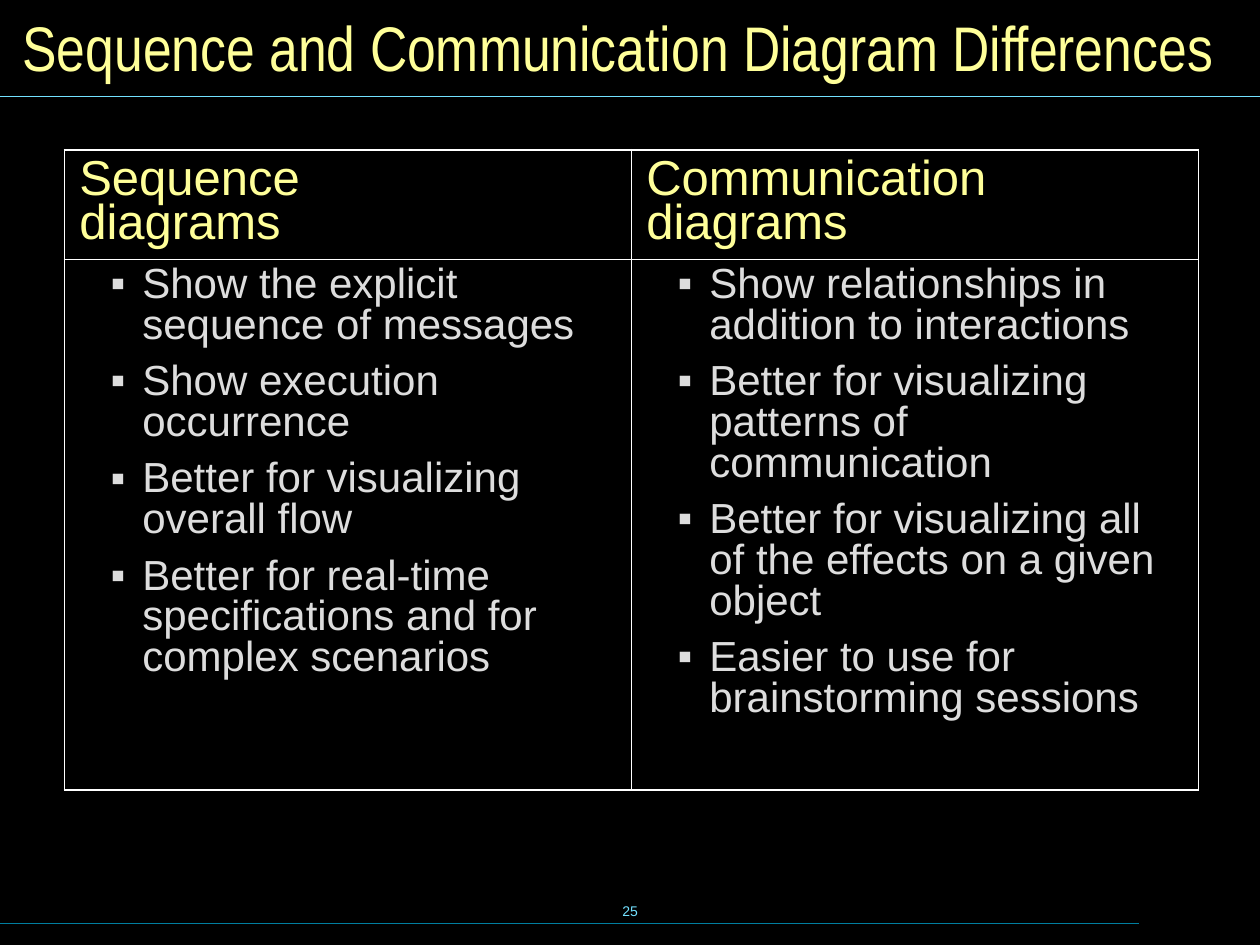
from lxml.etree import SubElement
from pptx import Presentation
from pptx.dml.color import RGBColor
from pptx.enum.shapes import MSO_CONNECTOR
from pptx.enum.text import MSO_ANCHOR, MSO_AUTO_SIZE, PP_ALIGN
from pptx.oxml.ns import qn
from pptx.util import Cm, Pt

COLORS = {
    "background": "000000",
    "heading": "FFFF99",
    "body": "DDDDDD",
    "border": "FFFFFF",
    "accent": "73E1FF",
    "footer_line": "007E9F",
}
OUTER_BORDER, INNER_BORDER = Pt(1.08), Pt(0.45)

COMPARISON = {
    "Sequence \vdiagrams": [
        "Show the explicit sequence of messages",
        "Show execution occurrence",
        "Better for visualizing overall flow",
        "Better for real-time specifications and for complex scenarios",
    ],
    "Communication diagrams": [
        "Show relationships in addition to interactions",
        "Better for visualizing patterns of communication",
        "Better for visualizing all of the effects on a given object",
        "Easier to use for brainstorming sessions",
    ],
}


def color(name):
    return RGBColor.from_string(COLORS[name])


def format_runs(paragraph, size, color_name, font_name="Arial"):
    for run in paragraph.runs:
        run.font.name = font_name
        run.font.size = Pt(size)
        run.font.color.rgb = color(color_name)


def add_rule(slide, width, top, color_name):
    """Draw a horizontal line from the left edge of the slide."""
    rule = slide.shapes.add_connector(MSO_CONNECTOR.STRAIGHT, 0, top, width, top)
    rule.line.color.rgb = color(color_name)
    rule.line.width = Pt(0.75)
    SubElement(rule._element.spPr, qn("a:effectLst"))


def set_title(slide, text):
    title = slide.shapes.title
    title.left, title.top, title.width, title.height = Cm(0.2), Cm(0.2), Cm(25), Cm(1.47)
    text_frame = title.text_frame
    text_frame.text = text
    text_frame.auto_size = MSO_AUTO_SIZE.NONE
    text_frame.vertical_anchor = MSO_ANCHOR.MIDDLE
    paragraph = text_frame.paragraphs[0]
    paragraph.alignment = PP_ALIGN.LEFT
    format_runs(paragraph, 36, "heading", "Arial Narrow")


def add_page_number(slide, number):
    box = slide.shapes.add_textbox(Cm(8.68), Cm(17.73), Cm(8.05), Cm(1.27))
    text_frame = box.text_frame
    text_frame.text = number
    text_frame.word_wrap = False
    text_frame.vertical_anchor = MSO_ANCHOR.MIDDLE
    paragraph = text_frame.paragraphs[0]
    paragraph.alignment = PP_ALIGN.CENTER
    format_runs(paragraph, 8, "accent")


def set_borders(cell, outer_sides):
    properties = cell._tc.get_or_add_tcPr()
    for side in "LRTB":
        width = OUTER_BORDER if side in outer_sides else INNER_BORDER
        line = SubElement(properties, qn(f"a:ln{side}"), w=str(width))
        fill = SubElement(line, qn("a:solidFill"))
        SubElement(fill, qn("a:srgbClr"), val=COLORS["border"])


def format_cell(cell, outer_sides, anchor):
    set_borders(cell, outer_sides)
    cell.fill.background()
    cell.margin_left = cell.margin_right = Cm(0.3)
    cell.margin_top = cell.margin_bottom = Cm(0.13)
    cell.vertical_anchor = anchor


def add_bullet(paragraph):
    properties = paragraph._p.get_or_add_pPr()
    properties.set("marL", str(Cm(1.27)))
    properties.set("indent", str(-Cm(0.64)))
    bullet_color = SubElement(properties, qn("a:buClr"))
    SubElement(bullet_color, qn("a:srgbClr"), val=COLORS["body"])
    SubElement(properties, qn("a:buFont"), typeface="Arial")
    SubElement(properties, qn("a:buChar"), char="▪")


def fill_heading(cell, text):
    cell.text_frame.text = text
    paragraph = cell.text_frame.paragraphs[0]
    paragraph.line_spacing = 0.8
    paragraph.space_before = Pt(10.5)
    format_runs(paragraph, 28, "heading")


def fill_points(cell, points):
    cell.text_frame.text = "\n".join(points)
    for paragraph in cell.text_frame.paragraphs:
        paragraph.level = 1
        paragraph.line_spacing = 0.87
        paragraph.space_before = Pt(9)
        add_bullet(paragraph)
        format_runs(paragraph, 24, "body")


def add_comparison_table(slide):
    frame = slide.shapes.add_table(2, 2, Cm(1.3), Cm(3.02), Cm(22.86), Cm(12.9))
    table = frame.table
    table.first_row = table.horz_banding = False
    table.rows[0].height, table.rows[1].height = Cm(2.21), Cm(10.69)
    for index, (heading, points) in enumerate(COMPARISON.items()):
        side = "LR"[index]
        heading_cell, points_cell = table.cell(0, index), table.cell(1, index)
        format_cell(heading_cell, side + "T", MSO_ANCHOR.MIDDLE)
        fill_heading(heading_cell, heading)
        format_cell(points_cell, side + "B", MSO_ANCHOR.TOP)
        fill_points(points_cell, points)


def main():
    presentation = Presentation()
    presentation.slide_width, presentation.slide_height = Cm(25.4), Cm(19.05)
    slide = presentation.slides.add_slide(presentation.slide_layouts[5])
    slide.background.fill.solid()
    slide.background.fill.fore_color.rgb = color("background")

    add_page_number(slide, "25")
    add_rule(slide, Cm(22.96), Cm(18.62), "footer_line")
    add_rule(slide, presentation.slide_width, Cm(1.94), "accent")
    set_title(slide, "Sequence and Communication Diagram Differences")
    add_comparison_table(slide)
    presentation.save("out.pptx")


if __name__ == "__main__":
    main()
